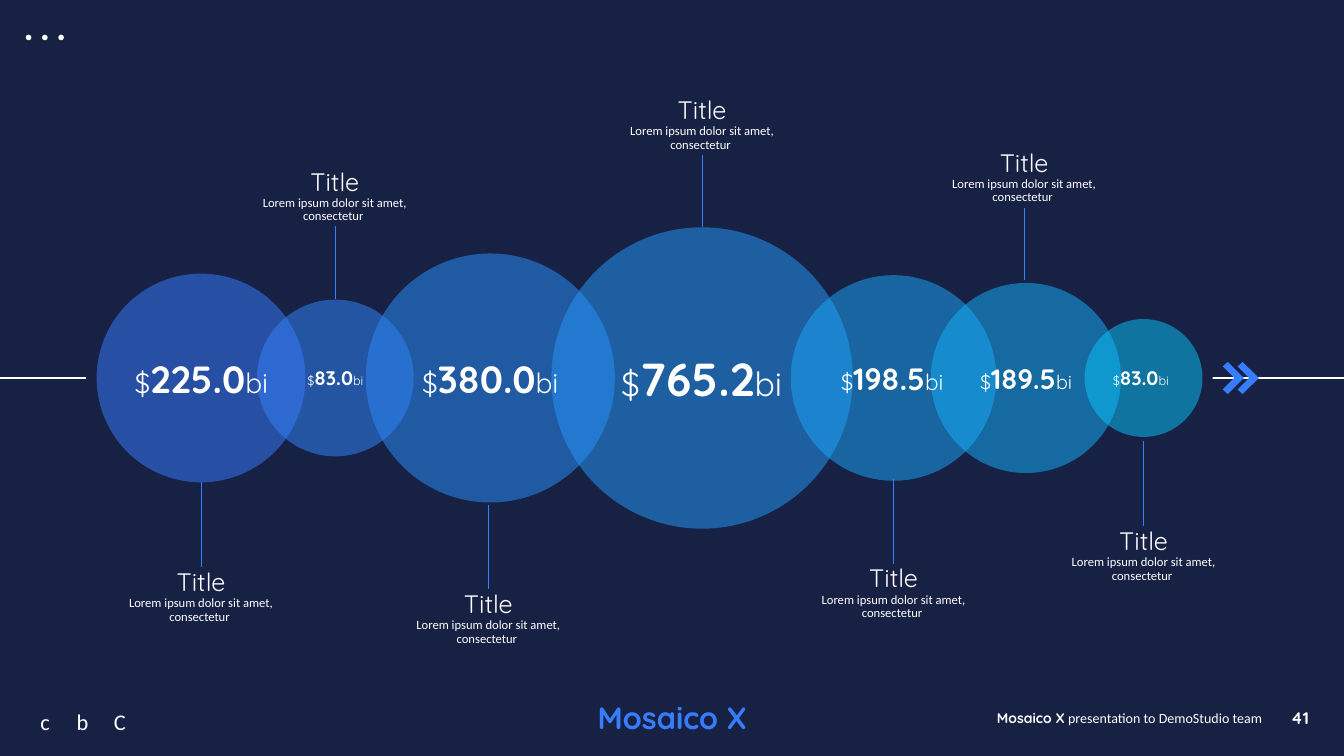
import pptx
import pptx.util
import pptx.dml.color
import pptx.enum.shapes
import pptx.enum.text
import pptx.oxml.ns
import lxml.etree

Cm = pptx.util.Cm
Pt = pptx.util.Pt
SHAPE = pptx.enum.shapes.MSO_SHAPE
ALIGN = pptx.enum.text.PP_ALIGN
ANCHOR = pptx.enum.text.MSO_ANCHOR
qn = pptx.oxml.ns.qn

COLORS = {
    "back": "172144", "white": "FFFFFF", "accent": "377DFF",
    "c1": "377DFF", "c2": "3087FE", "c3": "2A92FD", "c4": "239CFC",
    "c5": "1CA7FC", "c6": "15B1FB", "c7": "08C6F9",
}
HEAD, BODY = "Quicksand", "Calibri"
WIDTH, HEIGHT = 67.73, 38.1
AXIS = HEIGHT / 2
LABEL_W, LABEL_H = 10.54, 3

# Back to front: amount, colour, centre x, diameter, text x, sizes of number
# and unit, stem x, y where the stem leaves the circle
BUBBLES = [
    ("765.2", "c4", 35.38, 15.19, 35.36, 66, 48, 35.38, 11.46),
    ("380.0", "c3", 24.71, 12.55, 24.71, 54, 40, 24.61, 25.43),
    ("198.5", "c5", 45.03, 10.36, 44.96, 44, 32, 45.03, 24.13),
    ("83.0", "c2", 16.9, 7.9, 16.9, 28, 18, 16.87, 15.06),
    ("189.5", "c6", 51.7, 9.58, 51.71, 40, 28, 51.61, 14.12),
    ("225.0", "c1", 10.13, 10.52, 10.15, 54, 40, 10.13, 24.31),
    ("83.0", "c7", 57.63, 5.94, 57.49, 28, 18, 57.63, 22.25),
]


def rgb(name):
    return pptx.dml.color.RGBColor.from_string(COLORS[name])


class Deck:
    def __init__(self):
        self.prs = pptx.Presentation()
        self.prs.slide_width, self.prs.slide_height = Cm(WIDTH), Cm(HEIGHT)
        self.s = self.prs.slides.add_slide(self.prs.slide_layouts[6])
        self.s.background.fill.solid()
        self.s.background.fill.fore_color.rgb = rgb("back")

    def paint(self, sp, color, alpha=None):
        """Flat fill without line or shadow; alpha is a percentage."""
        sp.shadow.inherit = False
        sp.line.fill.background()
        sp.fill.solid()
        sp.fill.fore_color.rgb = rgb(color)
        if alpha is not None:
            clr = sp.fill._xPr.find(qn("a:solidFill"))[0]
            lxml.etree.SubElement(clr, qn("a:alpha")).set("val", str(alpha * 1000))

    def shape(self, kind, x, y, w, h, color, alpha=None):
        sp = self.s.shapes.add_shape(kind, Cm(x), Cm(y), Cm(w), Cm(h))
        self.paint(sp, color, alpha)
        return sp

    def line(self, x1, y1, x2, y2, color, width):
        ln = self.s.shapes.add_connector(
            pptx.enum.shapes.MSO_CONNECTOR.STRAIGHT, Cm(x1), Cm(y1), Cm(x2), Cm(y2))
        ln.line.color.rgb = rgb(color)
        ln.line.width = Pt(width)
        lxml.etree.SubElement(ln._element.spPr, qn("a:effectLst"))
        return ln

    def text(self, x, y, w, h, paragraphs, color="white", align=ALIGN.CENTER,
             anchor=ANCHOR.MIDDLE, wrap=False, spacing=None):
        """Each paragraph is a list of (text, size, font, bold) runs."""
        sp = self.s.shapes.add_textbox(Cm(x), Cm(y), Cm(w), Cm(h))
        tf = sp.text_frame
        tf.word_wrap = wrap
        tf.auto_size = pptx.enum.text.MSO_AUTO_SIZE.SHAPE_TO_FIT_TEXT
        tf.vertical_anchor = anchor
        for i, runs in enumerate(paragraphs):
            p = tf.add_paragraph() if i else tf.paragraphs[0]
            p.alignment = align
            if spacing:
                p.line_spacing = spacing
            for content, size, font, bold in runs:
                r = p.add_run()
                r.text = content
                r.font.size, r.font.name, r.font.bold = Pt(size), font, bold
                r.font.color.rgb = rgb(color)
        return sp

    def chevron(self, x, y):
        """Double arrowhead pointing right, centred on y."""
        outline = [(0, 0.58), (0.58, 0), (0, -0.58), (0.25, -0.81), (1.07, 0), (0.25, 0.81)]
        fb = None
        for dx in (0, 0.75):
            pts = [(Cm(x + dx + px), Cm(y + py)) for px, py in outline]
            if fb is None:
                fb = self.s.shapes.build_freeform(*pts[0])
            else:
                fb.move_to(*pts[0])
            fb.add_line_segments(pts[1:], close=True)
        self.paint(fb.convert_to_shape(), "accent")

    def amount(self, x, value, big, small):
        w, h = 0.145 * big - 0.4, 0.25 + 0.043 * big
        self.text(x - w / 2, AXIS - h / 2, w, h, [[
            ("$", small, HEAD, False), (value, big, HEAD, True), ("bi", small, HEAD, False)]])

    def callout(self, x, y):
        """Title and text, joined by a stem to the circle edge at (x, y)."""
        above = y < AXIS
        near = y - 3.66 if above else y + 4.27
        box = self.text(
            x - LABEL_W / 2, near - LABEL_H if above else near, LABEL_W, LABEL_H,
            [[("Title", 36, HEAD, False)],
             [("Lorem ipsum dolor sit amet, consectetur ", 18, BODY, False)]],
            wrap=True, spacing=0.89)
        stem = self.line(x, y, x, near, "accent", 0.5)
        stem.end_connect(box, 2 if above else 0)
        stem.begin_x = stem.end_x  # keeps the stem exactly vertical

    def frame(self):
        """Corner dots and footer."""
        for i in range(3):
            self.shape(SHAPE.OVAL, 1.3 + 0.82 * i, 1.75, 0.28, 0.28, "white")
        for i, letter in enumerate("cbC"):
            self.text(1.45 + 1.88 * i, 35.53, 1.65, 1.63, [[(letter, 32, BODY, False)]])
        self.text(27.79, 35.1, 12.19, 2.13, [[("Mosaico X", 44, HEAD, True)]],
                  color="accent", anchor=ANCHOR.TOP, wrap=True)
        self.text(49.99, 35.64, 14.4, 1.12,
                  [[("Mosaico X", 20, HEAD, True),
                    (" presentation to DemoStudio team", 20, BODY, False)]],
                  align=ALIGN.LEFT)
        self.text(64.51, 35.38, 2, 1.63, [[("41", 24, HEAD, True)]])


def main():
    deck = Deck()
    deck.frame()
    deck.line(0, AXIS, WIDTH, AXIS, "white", 2)
    deck.shape(SHAPE.RECTANGLE, 4.34, 18.01, 56.77, 2.08, "back")
    for _, color, x, d, *_ in BUBBLES:
        deck.shape(SHAPE.OVAL, x - d / 2, AXIS - d / 2, d, d, color, 51)
    deck.chevron(61.62, AXIS)
    for value, _, _, _, text_x, big, small, stem_x, stem_y in BUBBLES:
        deck.amount(text_x, value, big, small)
        deck.callout(stem_x, stem_y)
    deck.prs.save("out.pptx")


if __name__ == "__main__":
    main()
